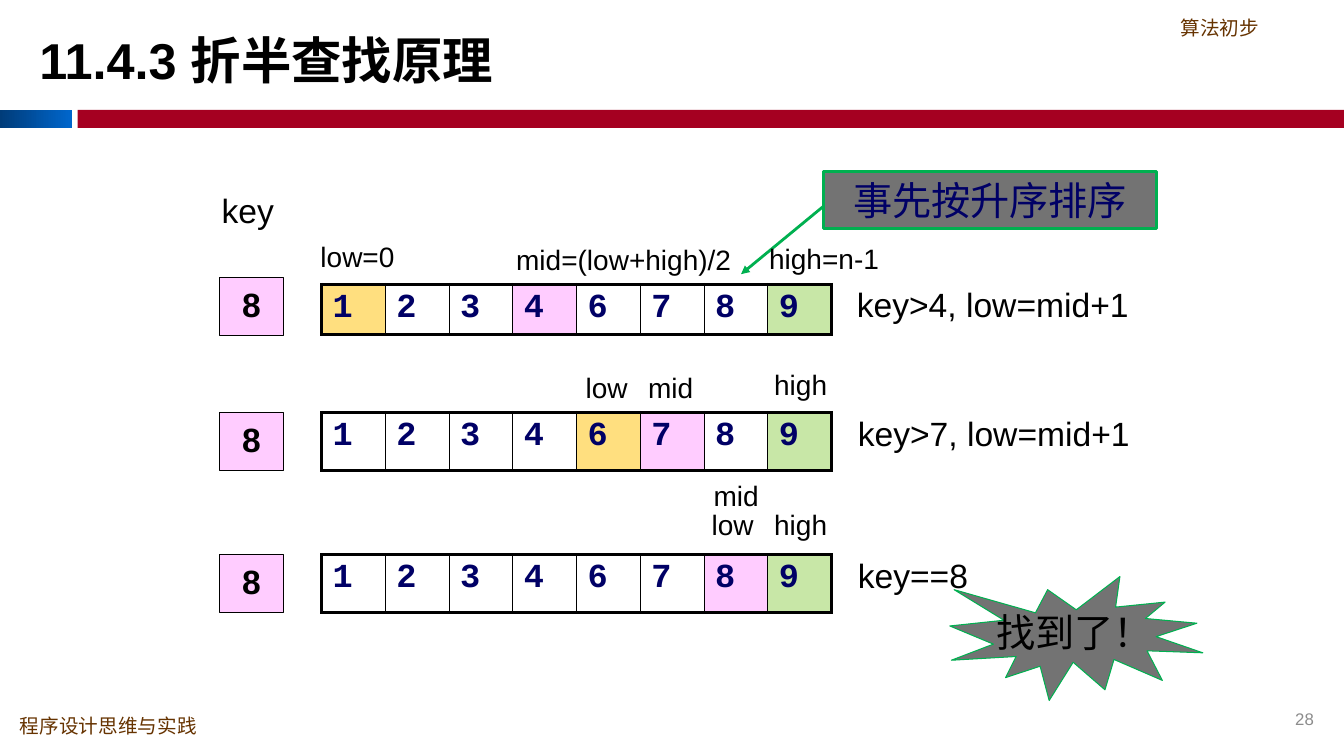
from dataclasses import dataclass

from lxml import etree
from pptx import Presentation
from pptx.dml.color import RGBColor
from pptx.enum import shapes, text
from pptx.oxml import ns
from pptx.util import Inches, Pt

CJK = "Noto Sans CJK SC"
BLACK, NAVY, BROWN = "000000", "000066", "663300"
PINK, ORANGE, LIME, GREEN, GRAY = "FFCCFF", "FFC000", "92D050", "00B050", "737373"
VALUES = [1, 2, 3, 4, 6, 7, 8, 9]
TABLE_LEFT, CELL_WIDTH = 3.19, 0.6325
LEFT, CENTER, RIGHT = text.PP_ALIGN.LEFT, text.PP_ALIGN.CENTER, text.PP_ALIGN.RIGHT
TOP, MIDDLE = text.MSO_ANCHOR.TOP, text.MSO_ANCHOR.MIDDLE


@dataclass
class Step:
    key_top: float
    top: float
    height: float
    low: int
    mid: int
    high: int
    conclusion: str
    conclusion_left: float
    conclusion_top: float


@dataclass
class Label:
    words: str
    left: float
    top: float
    width: float = 0.84
    height: float = 0.4
    size: float = 20
    color: str = BLACK
    font: str = "Arial"
    align: text.PP_ALIGN = LEFT
    anchor: text.MSO_ANCHOR = TOP
    line_spacing: float = 0.9


STEPS = [
    Step(2.75, 2.82, 0.5, 0, 3, 7, "key>4, low=mid+1", 8.4, 2.81),
    Step(4.09, 4.09, 0.58, 4, 5, 7, "key>7, low=mid+1", 8.41, 4.09),
    Step(5.5, 5.5, 0.58, 6, 6, 7, "key==8", 8.41, 5.5),
]
LABELS = [
    Label("程序设计思维与实践", 0.1, 7.06, 2.5, 0.32, 14, BROWN),
    Label("算法初步", 11.61, 0.13, 1.65, 0.39, 14, BROWN, CJK),
    Label("28", 11.8, 6.98, 1.33, 0.31, 12, "8C8C8C", "Arial", RIGHT, MIDDLE, 1.0),
    Label("key", 2.1, 1.88, 1.32, 0.47, 24),
    Label("low=0", 3.08, 2.36, 1.15),
    Label("mid=(low+high)/2", 5.02, 2.39, 2.35),
    Label("high=n-1", 7.53, 2.38, 1.46),
    Label("low", 5.71, 3.66),
    Label("mid", 6.33, 3.66),
    Label("high", 7.58, 3.63),
    Label("mid", 6.98, 4.74),
    Label("low", 6.96, 5.02),
    Label("high", 7.58, 5.02),
]


def rgb(color: str) -> RGBColor:
    return RGBColor.from_string(color)


def write(text_frame, words: str, size: float, color: str, font: str = "Arial",
          bold: bool = False, align=LEFT, line_spacing: float = 1.0) -> None:
    text_frame.text = words
    paragraph = text_frame.paragraphs[0]
    paragraph.alignment = align
    paragraph.line_spacing = line_spacing
    run_font = paragraph.runs[0].font
    run_font.size, run_font.bold, run_font.name = Pt(size), bold, font
    run_font.color.rgb = rgb(color)
    east_asian = etree.SubElement(paragraph.runs[0]._r.get_or_add_rPr(), ns.qn("a:ea"))
    east_asian.set("typeface", CJK)


def add_label(slide, label: Label) -> None:
    box = slide.shapes.add_textbox(Inches(label.left), Inches(label.top),
                                   Inches(label.width), Inches(label.height))
    frame = box.text_frame
    frame.word_wrap = True
    frame.vertical_anchor = label.anchor
    write(frame, label.words, label.size, label.color, label.font,
          align=label.align, line_spacing=label.line_spacing)


def add_block(slide, kind, left: float, top: float, width: float, height: float,
              fill: str, line: str = "", line_width: float = 0.75):
    shape = slide.shapes.add_shape(kind, Inches(left), Inches(top),
                                   Inches(width), Inches(height))
    shape.shadow.inherit = False
    shape.fill.solid()
    shape.fill.fore_color.rgb = rgb(fill)
    if line:
        shape.line.color.rgb = rgb(line)
        shape.line.width = Pt(line_width)
    else:
        shape.line.fill.background()
    shape.text_frame.word_wrap = False
    shape.text_frame.vertical_anchor = MIDDLE
    return shape


def fill_cell(cell, color: str, alpha: int = 100) -> None:
    cell.fill.solid()
    cell.fill.fore_color.rgb = rgb(color)
    if alpha < 100:
        clr = cell._tc.tcPr.find(".//" + ns.qn("a:srgbClr"))
        etree.SubElement(clr, ns.qn("a:alpha")).set("val", str(alpha * 1000))


def set_borders(cell, widths: dict[str, float]) -> None:
    for position, (side, width) in enumerate(widths.items()):
        line = etree.Element(ns.qn(f"a:ln{side}"), w=str(Pt(width)))
        solid = etree.SubElement(line, ns.qn("a:solidFill"))
        etree.SubElement(solid, ns.qn("a:srgbClr")).set("val", BLACK)
        cell._tc.get_or_add_tcPr().insert(position, line)


def add_array(slide, step: Step) -> None:
    frame = slide.shapes.add_table(1, len(VALUES), Inches(TABLE_LEFT), Inches(step.top),
                                   Inches(CELL_WIDTH * len(VALUES)), Inches(step.height))
    table = frame.table
    table.first_row = table.horz_banding = False
    last = len(VALUES) - 1
    for index, value in enumerate(VALUES):
        cell = table.cell(0, index)
        cell.margin_left = cell.margin_right = Inches(0.11)
        cell.margin_top = cell.margin_bottom = Inches(0.05)
        write(cell.text_frame, str(value), 24, NAVY, "Courier New", True, line_spacing=0.95)
        if index == step.mid:
            fill_cell(cell, PINK)
        elif index == step.low:
            fill_cell(cell, ORANGE, 50)
        elif index == step.high:
            fill_cell(cell, LIME, 50)
        else:
            cell.fill.background()
        set_borders(cell, {"L": 2.25 if index == 0 else 1, "R": 2.25 if index == last else 1,
                           "T": 2.25, "B": 2.25})


def add_arrow(slide, start: tuple[float, float], end: tuple[float, float]) -> None:
    arrow = slide.shapes.add_connector(shapes.MSO_CONNECTOR.STRAIGHT,
                                       *map(Inches, start), *map(Inches, end))
    arrow.line.color.rgb = rgb(GREEN)
    arrow.line.width = Pt(2)
    etree.SubElement(arrow.line._get_or_add_ln(), ns.qn("a:tailEnd")).set("type", "triangle")
    etree.SubElement(arrow._element.spPr, ns.qn("a:effectLst"))


def main() -> None:
    presentation = Presentation()
    presentation.slide_width, presentation.slide_height = Inches(13.33), Inches(7.5)
    slide = presentation.slides.add_slide(presentation.slide_layouts[5])
    rectangle = shapes.MSO_SHAPE.RECTANGLE

    # Title and the two-part rule below it
    title = slide.shapes.title
    title.left, title.top = Inches(0.29), Inches(-0.04)
    title.width, title.height = Inches(9.75), Inches(1.25)
    title.text_frame.vertical_anchor = MIDDLE
    write(title.text_frame, "11.4.3 折半查找原理", 36, BLACK, bold=True)
    blue_bar = add_block(slide, rectangle, 0, 1.09, 0.71, 0.18, "0066CC")
    blue_bar.fill.gradient()
    blue_bar.fill.gradient_angle = 0
    for stop, color in zip(blue_bar.fill.gradient_stops, ("003C79", "0066CC")):
        stop.color.rgb = rgb(color)
    blue_bar.fill.gradient_stops[0].position = 0
    blue_bar.fill.gradient_stops[1].position = 1
    add_block(slide, rectangle, 0.77, 1.09, 12.56, 0.18, "A50021")

    # Search steps: key, array and conclusion
    for step in STEPS:
        add_array(slide, step)
        key = add_block(slide, rectangle, 2.18, step.key_top, 0.63, 0.58, PINK, BLACK)
        write(key.text_frame, "8", 24, BLACK, bold=True, align=CENTER, line_spacing=0.9)
        add_label(slide, Label(step.conclusion, step.conclusion_left, step.conclusion_top,
                               3.3, 0.46, 24))

    # Callout on sorting
    add_arrow(slide, (8.2, 2.02), (7.35, 2.72))
    callout = add_block(slide, rectangle, 8.17, 1.7, 3.3, 0.57, GRAY, GREEN, 2)
    write(callout.text_frame, "事先按升序排序", 28, NAVY, CJK, align=CENTER)

    # Index labels, header and footer
    for label in LABELS:
        add_label(slide, label)

    # Result burst
    burst = add_block(slide, shapes.MSO_SHAPE.EXPLOSION1, 9.42, 5.72, 2.51, 1.23, GRAY, GREEN)
    write(burst.text_frame, "找到了！", 28, BLACK, CJK, align=CENTER, line_spacing=0.9)

    presentation.save("out.pptx")


if __name__ == "__main__":
    main()
